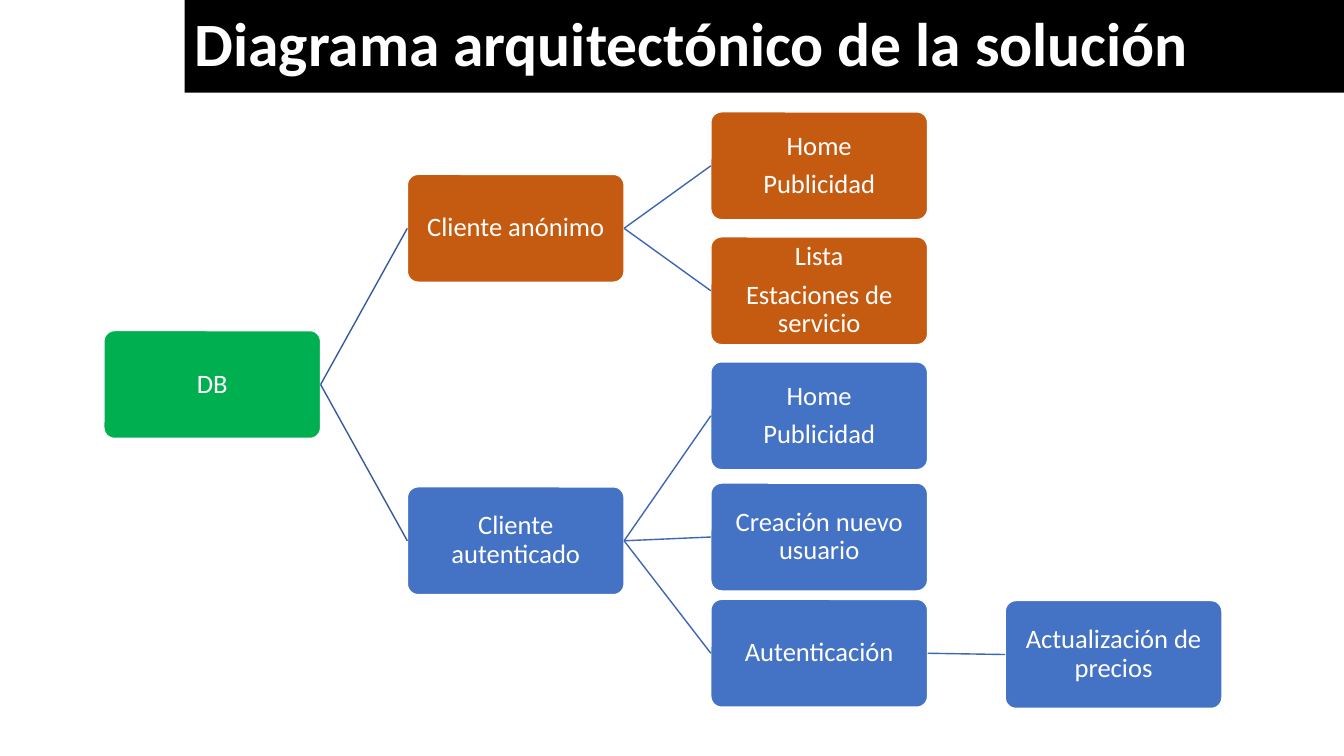
from pptx import Presentation
from pptx import util as u
from pptx.dml.color import RGBColor
from pptx.enum import shapes, text
from pptx.oxml.ns import qn
from lxml import etree

WHITE = RGBColor(0xFF, 0xFF, 0xFF)
BLACK = RGBColor(0x00, 0x00, 0x00)
GREEN = RGBColor(0x00, 0xB0, 0x50)
ORANGE = RGBColor(0xC5, 0x5A, 0x11)
BLUE = RGBColor(0x44, 0x72, 0xC4)
ROOT_LINK = RGBColor(0x36, 0x5B, 0x9D)
BRANCH_LINK = RGBColor(0x3E, 0x67, 0xB2)

FONT = "Calibri"
COLUMN_PITCH, ROW_PITCH = 3.01, 1.24
NODE_WIDTH, NODE_HEIGHT = 2.15, 1.07

# key: (parent, column, row, fill, paragraphs)
NODES = {
    "db": (None, 0, 1.75, GREEN, ["DB"]),
    "anonymous": ("db", 1, 0.5, ORANGE, ["Cliente anónimo"]),
    "anonymous home": ("anonymous", 2, 0, ORANGE, ["Home", "Publicidad"]),
    "stations": ("anonymous", 2, 1, ORANGE, ["Lista", "Estaciones de servicio"]),
    "authenticated": ("db", 1, 3, BLUE, ["Cliente autenticado"]),
    "user home": ("authenticated", 2, 2, BLUE, ["Home", "Publicidad"]),
    "new user": ("authenticated", 2, 2.97, BLUE, ["Creación nuevo usuario"]),
    "login": ("authenticated", 2, 3.9, BLUE, ["Autenticación"]),
    "prices": ("login", 2.97, 3.91, BLUE, ["Actualización de precios"]),
}


def add_run(paragraph, words, size, bold=False):
    """Add one white run to a paragraph with tight line spacing."""
    paragraph.line_spacing = 0.9
    run = paragraph.add_run()
    run.text = words
    run.font.name = FONT
    run.font.size = u.Pt(size)
    run.font.bold = bold
    run.font.color.rgb = WHITE


def add_title(slide, left, top, width, height):
    """Place the title as a black band in the given box."""
    title = slide.shapes.title
    title.left, title.top = u.Inches(left), u.Inches(top)
    title.width, title.height = u.Inches(width), u.Inches(height)
    title.fill.solid()
    title.fill.fore_color.rgb = BLACK
    frame = title.text_frame
    frame.auto_size = text.MSO_AUTO_SIZE.NONE
    frame.vertical_anchor = text.MSO_ANCHOR.MIDDLE
    paragraph = frame.paragraphs[0]
    paragraph.alignment = text.PP_ALIGN.LEFT
    add_run(paragraph, "Diagrama arquitectónico de la solución", 44, True)


def add_node(slide, left, top, fill, lines):
    """Draw one rounded box with its centred lines of text."""
    node = slide.shapes.add_shape(
        shapes.MSO_SHAPE.ROUNDED_RECTANGLE, u.Inches(left), u.Inches(top),
        u.Inches(NODE_WIDTH), u.Inches(NODE_HEIGHT))
    node.adjustments[0] = 0.1
    node.shadow.inherit = False
    node.fill.solid()
    node.fill.fore_color.rgb = fill
    node.line.color.rgb = WHITE
    node.line.width = u.Pt(1)
    frame = node.text_frame
    frame.word_wrap = True
    frame.vertical_anchor = text.MSO_ANCHOR.MIDDLE
    frame.margin_left = frame.margin_right = u.Inches(0.01)
    frame.margin_top = frame.margin_bottom = u.Inches(0.01)
    for index, words in enumerate(lines):
        paragraph = frame.add_paragraph() if index else frame.paragraphs[0]
        paragraph.alignment = text.PP_ALIGN.CENTER
        paragraph.space_after = u.Pt(6.65)
        add_run(paragraph, words, 19)
    return node


def add_link(slide, parent, child, color):
    """Join the right side of a parent to the left side of its child."""
    link = slide.shapes.add_connector(shapes.MSO_CONNECTOR.STRAIGHT, 0, 0, 0, 0)
    link.begin_connect(parent, 3)
    link.end_connect(child, 1)
    link.line.color.rgb = color
    link.line.width = u.Pt(1)
    etree.SubElement(link._element.spPr, qn("a:effectLst"))


def add_tree(slide, left, top):
    """Lay the nodes on a grid from the given corner and link them."""
    drawn = {}
    for key, (parent, column, row, fill, lines) in NODES.items():
        drawn[key] = add_node(slide, left + column * COLUMN_PITCH,
                              top + row * ROW_PITCH, fill, lines)
        if parent:
            color = ROOT_LINK if parent == "db" else BRANCH_LINK
            add_link(slide, drawn[parent], drawn[key], color)


def main():
    """Build and save the slide."""
    presentation = Presentation()
    presentation.slide_width = u.Inches(13.33)
    presentation.slide_height = u.Inches(7.5)
    slide = presentation.slides.add_slide(presentation.slide_layouts[5])
    add_title(slide, 1.83, 0, 11.5, 0.92)
    add_tree(slide, 1.03, 1.11)
    presentation.save("out.pptx")


if __name__ == "__main__":
    main()
